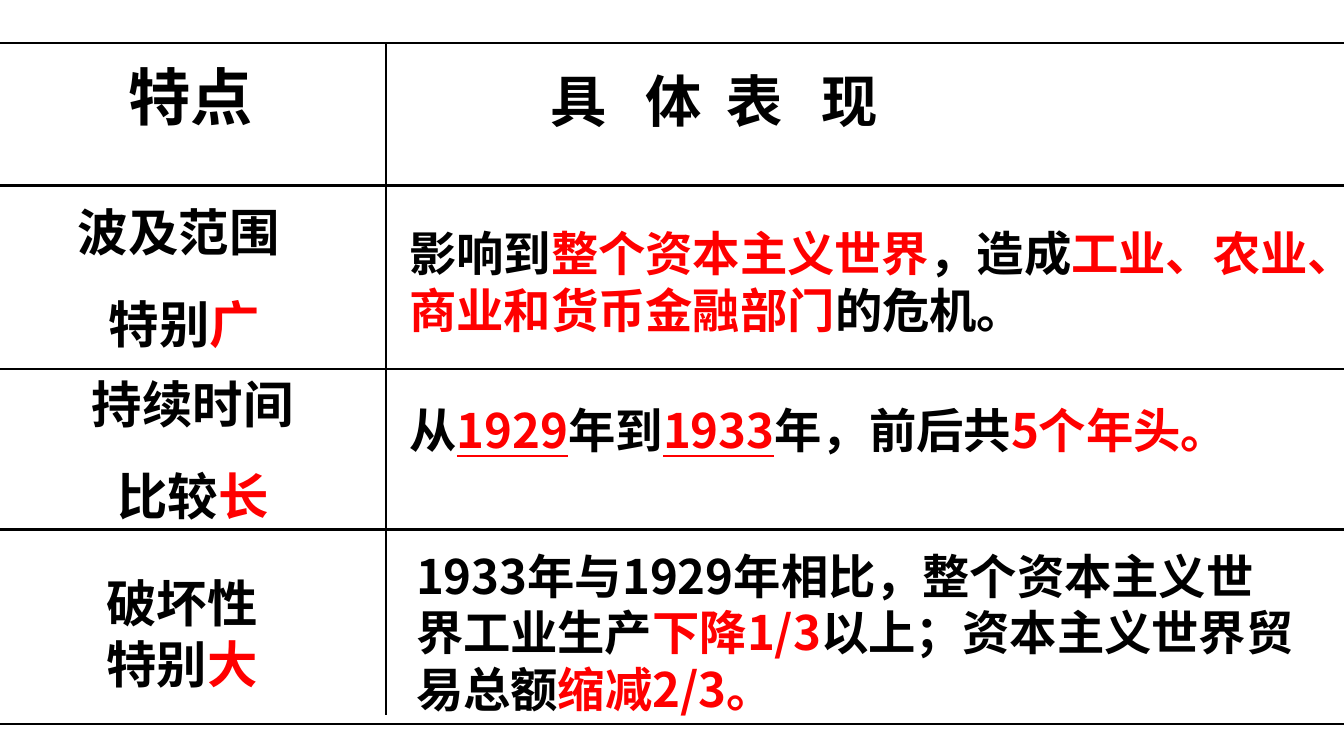
from lxml.etree import SubElement
from pptx import Presentation
from pptx.dml.color import RGBColor
from pptx.enum.shapes import MSO_CONNECTOR
from pptx.enum.text import MSO_AUTO_SIZE, PP_ALIGN
from pptx.oxml.ns import qn
from pptx.util import Pt

WIDTH, HEIGHT = 453.6, 255
BLACK, RED = "000000", "FF0000"
SANS, SERIF = "Noto Sans CJK SC", "Times New Roman"
ROW_LINES = [14.4, 62.6, 124.6, 178.6, 244.1]
COLUMN_LINE, COLUMN_BOTTOM = 130.3, 241.2
HEADING_TABS = [32.1, 59.4, 91.5]

# Each run is (text, colour, underlined)
FEATURES = [
    # left, top, width, height, font, size, space between paragraphs, paragraphs
    (0.7, 17.3, 127.4, 29.5, SANS, 21, 0, [[("特点", BLACK, False)]]),
    (0, 65.5, 124.6, 55.4, SANS, 17, 10.6,
     [[("波及范围 ", BLACK, False)],
      [("特别", BLACK, False), ("广", RED, False)]]),
    (8.6, 123.8, 113, 55.4, SERIF, 17, 10.6,
     [[("持续时间", BLACK, False)],
      [("比较", BLACK, False), ("长", RED, False)]]),
    (8.6, 190.8, 105.8, 44.6, SERIF, 17, 0,
     [[("破坏性", BLACK, False)],
      [("特别", BLACK, False), ("大", RED, False)]]),
]
DETAILS = [
    (133.9, 73.4, 313.9, 42.5, SANS, 16, 0,
     [[("影响到", BLACK, False), ("整个资本主义世界", RED, False),
       ("，造成", BLACK, False),
       ("工业、农业、商业和货币金融部门", RED, False),
       ("的危机。", BLACK, False)]]),
    (133.9, 133.2, 310.3, 23, SANS, 16, 0,
     [[("从", BLACK, False), ("1929", RED, True), ("年到", BLACK, False),
       ("1933", RED, True), ("年，前后共", BLACK, False),
       ("5个年头。", RED, False)]]),
    (136.1, 182.2, 306, 61.9, SANS, 16, 0,
     [[("1933年与1929年相比，整个资本主义世界工业生产", BLACK, False),
       ("下降1/3", RED, False),
       ("以上；资本主义世界贸易总额", BLACK, False),
       ("缩减2/3。", RED, False)]]),
]
HEADING = (181.4, 20.2, 177.1, 26.6, SANS, 19, 0,
           [[("具\t体\t表\t现", BLACK, False)]])


def color(value):
    return RGBColor.from_string(value)


def add_rule(slide, x1, y1, x2, y2):
    line = slide.shapes.add_connector(
        MSO_CONNECTOR.STRAIGHT, Pt(x1), Pt(y1), Pt(x2), Pt(y2))
    line.line.color.rgb = color(BLACK)
    line.line.width = Pt(0.75)
    SubElement(line._element.spPr, qn("a:effectLst"))


def add_tabs(paragraph, stops):
    tab_list = SubElement(paragraph._p.get_or_add_pPr(), qn("a:tabLst"))
    for stop in stops:
        SubElement(tab_list, qn("a:tab"), pos=str(int(Pt(stop))), algn="l")


def add_text(slide, entry, alignment, tabs=()):
    left, top, width, height, font_name, size, gap, paragraphs = entry
    box = slide.shapes.add_textbox(Pt(left), Pt(top), Pt(width), Pt(height))
    frame = box.text_frame
    frame.word_wrap = True
    frame.auto_size = MSO_AUTO_SIZE.SHAPE_TO_FIT_TEXT
    frame.margin_left = frame.margin_right = Pt(4.3)
    frame.margin_top = frame.margin_bottom = Pt(2.2)
    for index, runs in enumerate(paragraphs):
        paragraph = frame.add_paragraph() if index else frame.paragraphs[0]
        paragraph.alignment = alignment
        if index and gap:
            paragraph.space_before = Pt(gap)
        if tabs:
            add_tabs(paragraph, tabs)
        for text, text_color, underlined in runs:
            run = paragraph.add_run()
            run.text = text
            font = run.font
            font.name, font.size, font.bold = font_name, Pt(size), True
            font.color.rgb = color(text_color)
            if underlined:
                font.underline = True
            SubElement(run._r.get_or_add_rPr(), qn("a:ea"), typeface=SANS)


def main():
    presentation = Presentation()
    presentation.slide_width, presentation.slide_height = Pt(WIDTH), Pt(HEIGHT)
    slide = presentation.slides.add_slide(presentation.slide_layouts[6])
    for y in ROW_LINES:
        add_rule(slide, 0, y, WIDTH, y)
    add_rule(slide, COLUMN_LINE, ROW_LINES[0], COLUMN_LINE, COLUMN_BOTTOM)
    add_text(slide, HEADING, PP_ALIGN.LEFT, HEADING_TABS)
    for entry in FEATURES:
        add_text(slide, entry, PP_ALIGN.CENTER)
    for entry in DETAILS:
        add_text(slide, entry, PP_ALIGN.LEFT)
    presentation.save("out.pptx")


if __name__ == "__main__":
    main()
